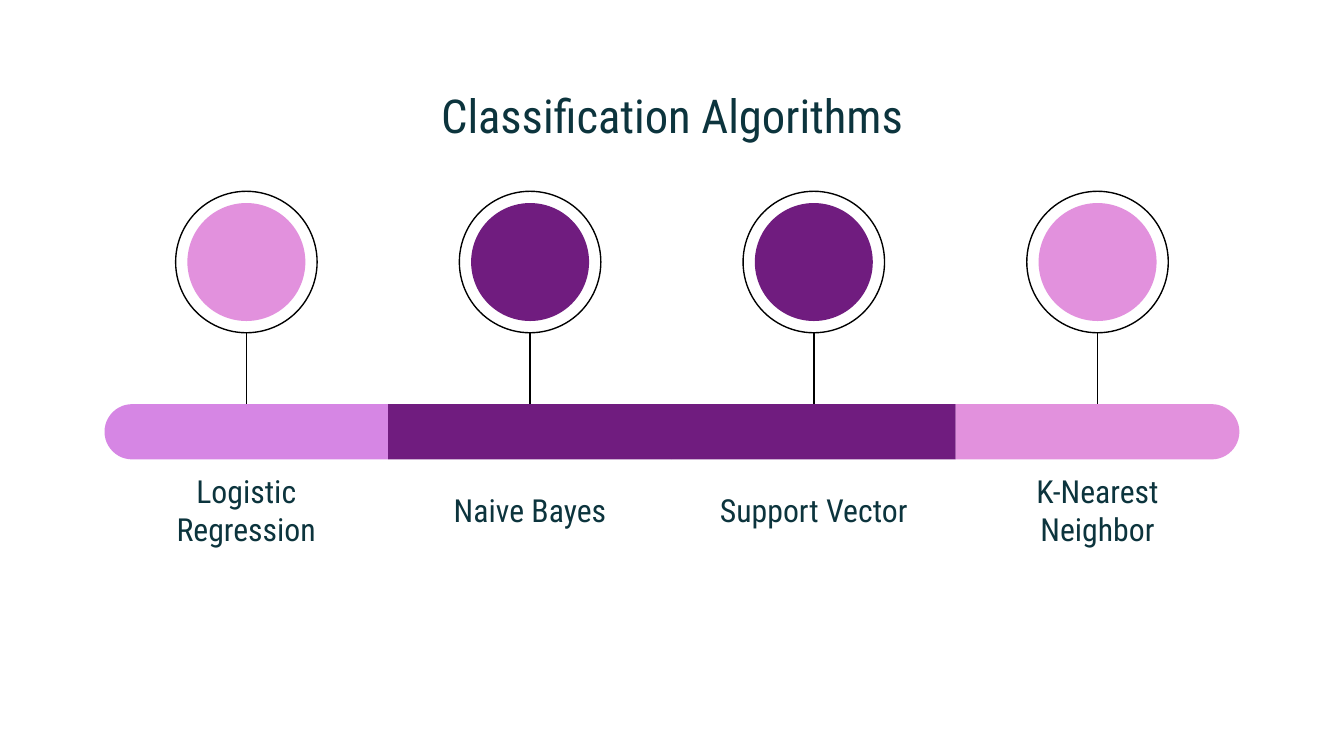
from lxml import etree
from pptx import Presentation
from pptx.dml.color import RGBColor
from pptx.enum import shapes, text
from pptx.oxml.ns import qn
from pptx.util import Pt

PURPLE, LILAC, PINK = "701C7F", "D686E4", "CE43C6"
PITCH, FIRST_X = 152, 132
RING_D, DISC_D, CIRCLE_Y = 75.8, 63.2, 140.4
BAR_Y, BAR_H = 216.5, 29.6
LABEL_W = 131.2

# label, bar colour, disc colour, rounding of the bar's left and right ends
steps = [
    ("Logistic Regression", LILAC, PINK, (0.5, 0)),
    ("Naive Bayes", PURPLE, PURPLE, (0, 0)),
    ("Support Vector", PURPLE, PURPLE, (0, 0)),
    ("K-Nearest Neighbor", PINK, PINK, (0, 0.5)),
]


def paint(color_format, color):
    """Set a colour; the pink is drawn at 58% opacity."""
    color_format.rgb = RGBColor.from_string(color)
    if color == PINK:
        srgb = color_format._xFill.find(qn("a:srgbClr"))
        etree.SubElement(srgb, qn("a:alpha"), val="58000")


def write(sp, words, size):
    tf = sp.text_frame
    tf.text = words
    tf.word_wrap = True
    tf.auto_size = text.MSO_AUTO_SIZE.NONE
    tf.vertical_anchor = text.MSO_ANCHOR.MIDDLE
    tf.margin_left = tf.margin_right = tf.margin_top = tf.margin_bottom = Pt(7.2)
    p = tf.paragraphs[0]
    p.alignment = text.PP_ALIGN.CENTER
    font = p.runs[0].font
    font.name, font.size = "Roboto Condensed", Pt(size)
    paint(font.color, "0C343D")


prs = Presentation()
prs.slide_width, prs.slide_height = Pt(720), Pt(405)
s = prs.slides.add_slide(prs.slide_layouts[5])

title = s.shapes.title
title.left, title.top, title.width, title.height = Pt(56), Pt(42.5), Pt(608), Pt(38.2)
write(title, "Classification Algorithms", 25)

for i, (name, bar_color, disc_color, ends) in enumerate(steps):
    x = FIRST_X + i * PITCH

    label = s.shapes.add_textbox(Pt(x - LABEL_W / 2), Pt(258.5), Pt(LABEL_W), Pt(BAR_H))
    write(label, name, 17)

    # The bar stands upright before its quarter turn, so its width is the bar height
    bar = s.shapes.add_shape(
        shapes.MSO_SHAPE.ROUND_2_SAME_RECTANGLE,
        Pt(x - BAR_H / 2), Pt(BAR_Y + BAR_H / 2 - PITCH / 2), Pt(BAR_H), Pt(PITCH))
    bar.rotation = 270
    bar.adjustments[0], bar.adjustments[1] = ends

    ring, disc = [
        s.shapes.add_shape(shapes.MSO_SHAPE.OVAL, Pt(x - d / 2), Pt(CIRCLE_Y - d / 2), Pt(d), Pt(d))
        for d in (RING_D, DISC_D)]
    ring.fill.background()
    ring.shadow.inherit = False
    ring.line.width = Pt(0.75)
    paint(ring.line.color, "000000")

    for sp, color in ((bar, bar_color), (disc, disc_color)):
        sp.shadow.inherit = False
        sp.line.fill.background()
        sp.fill.solid()
        paint(sp.fill.fore_color, color)

    stem = s.shapes.add_connector(
        shapes.MSO_CONNECTOR.STRAIGHT, Pt(x), Pt(CIRCLE_Y + RING_D / 2), Pt(x), Pt(BAR_Y))
    stem.line.width = Pt(0.75)
    paint(stem.line.color, "000000")
    etree.SubElement(stem._element.spPr, qn("a:effectLst"))

prs.save("out.pptx")
